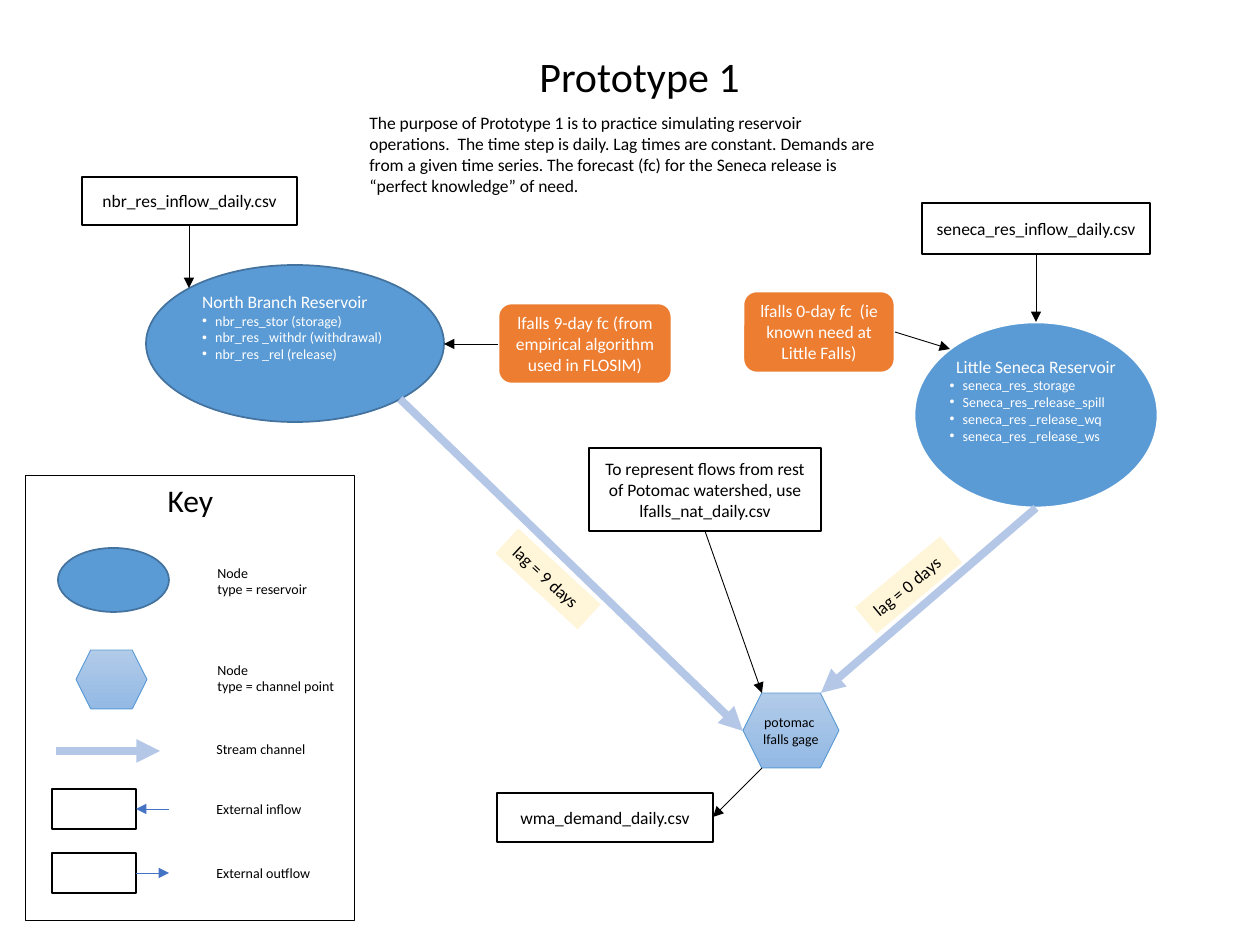
from dataclasses import dataclass

from lxml import etree
from pptx import Presentation
from pptx.dml.color import RGBColor
from pptx.enum.shapes import MSO_CONNECTOR, MSO_SHAPE
from pptx.enum.text import MSO_ANCHOR, PP_ALIGN
from pptx.oxml.ns import qn
from pptx.util import Emu, Pt

PIXEL = 914400 // 126
STRAIGHT = MSO_CONNECTOR.STRAIGHT
RECTANGLE, ROUNDED = MSO_SHAPE.RECTANGLE, MSO_SHAPE.ROUNDED_RECTANGLE
ELLIPSE, HEXAGON = MSO_SHAPE.OVAL, MSO_SHAPE.HEXAGON
TOP, MIDDLE = MSO_ANCHOR.TOP, MSO_ANCHOR.MIDDLE
LEFT, CENTER = PP_ALIGN.LEFT, PP_ALIGN.CENTER


@dataclass(frozen=True)
class Theme:
    """Colours, font and type sizes of the diagram."""
    font: str = "Calibri"
    black: str = "000000"
    white: str = "FFFFFF"
    reservoir: str = "5B9BD5"
    reservoir_edge: str = "43739E"
    channel: str = "B4C7E7"
    key_arrow: str = "4472C4"
    forecast: str = "ED7D31"
    lag: str = "FFD966"
    gage_top: str = "B1CBE9"
    gage_bottom: str = "93B9E4"
    title: int = 24
    heading: int = 18
    body: int = 10
    small: int = 8


THEME = Theme()


def px(value):
    """Turn picture pixels into EMU."""
    return Emu(round(value * PIXEL))


def color(value):
    """Read a hexadecimal colour."""
    return RGBColor.from_string(value)


def write(shape, text, size=THEME.body, ink=THEME.black, align=CENTER,
          anchor=MIDDLE):
    """Put text, one paragraph a line, into a shape."""
    frame = shape.text_frame
    frame.word_wrap = True
    frame.vertical_anchor = anchor
    frame.text = text
    for paragraph in frame.paragraphs:
        paragraph.alignment = align
        for run in paragraph.runs:
            run.font.name = THEME.font
            run.font.size = Pt(size)
            run.font.color.rgb = color(ink)


def set_insets(shape, side, top, bottom):
    """Set the text margins of a shape in pixels."""
    frame = shape.text_frame
    frame.margin_left = frame.margin_right = px(side)
    frame.margin_top, frame.margin_bottom = px(top), px(bottom)


def add_box(slide, kind, box, fill=None, line=None, width=1):
    """Add a preset shape with a plain fill and outline."""
    shape = slide.shapes.add_shape(kind, *map(px, box))
    shape.shadow.inherit = False
    if fill:
        shape.fill.solid()
        shape.fill.fore_color.rgb = color(fill)
    else:
        shape.fill.background()
    if line:
        shape.line.color.rgb = color(line)
        shape.line.width = Pt(width)
    else:
        shape.line.fill.background()
    return shape


def add_label(slide, box, text, size=THEME.body):
    """Add a left-aligned text box."""
    label = slide.shapes.add_textbox(*map(px, box))
    write(label, text, size, align=LEFT, anchor=TOP)


def add_file_box(slide, box, text=""):
    """Add a white box for an external file."""
    shape = add_box(slide, RECTANGLE, box, THEME.white, THEME.black)
    if text:
        write(shape, text)


def add_forecast(slide, box, text):
    """Add an orange forecast box."""
    shape = add_box(slide, ROUNDED, box, THEME.forecast, THEME.white, 1.5)
    write(shape, text, ink=THEME.white)


def add_reservoir(slide, box, name, items, edge, width, align, insets):
    """Add a reservoir ellipse with a name and bulleted variables."""
    shape = add_box(slide, ELLIPSE, box, THEME.reservoir, edge, width)
    write(shape, "\n".join([name, *items]), ink=THEME.white, align=LEFT)
    set_insets(shape, *insets)
    first, *bullets = shape.text_frame.paragraphs
    first.alignment = align
    for paragraph in bullets:
        paragraph.runs[0].font.size = Pt(THEME.small)
        properties = paragraph._p.get_or_add_pPr()
        properties.set("marL", str(px(13)))
        properties.set("indent", str(-px(13)))
        etree.SubElement(properties, qn("a:buFont")).set("typeface", "Arial")
        etree.SubElement(properties, qn("a:buChar")).set("char", "•")


def add_gage(slide, box, text=""):
    """Add a channel point hexagon with a vertical gradient."""
    shape = add_box(slide, HEXAGON, box, line=THEME.reservoir, width=0.5)
    shape.fill.gradient()
    shape.fill.gradient_angle = 270
    for stop, value in zip(shape.fill.gradient_stops,
                           (THEME.gage_top, THEME.gage_bottom)):
        stop.color.rgb = color(value)
    if text:
        write(shape, text, THEME.small)
        set_insets(shape, 0, 0, 0)


def add_lag(slide, box, text, rotation):
    """Add a translucent, turned lag label."""
    shape = add_box(slide, RECTANGLE, box, THEME.lag)
    shade = shape._element.spPr.find(qn("a:solidFill"))[0]
    etree.SubElement(shade, qn("a:alpha")).set("val", "25000")
    write(shape, text, align=LEFT, anchor=TOP)
    shape.rotation = rotation


def add_arrow(slide, ends, ink=THEME.black, width=0.5):
    """Add a straight arrow from the first point to the second."""
    arrow = slide.shapes.add_connector(STRAIGHT, *map(px, ends))
    arrow.line.color.rgb = color(ink)
    arrow.line.width = Pt(width)
    line = arrow.line._get_or_add_ln()
    etree.SubElement(line, qn("a:tailEnd")).set("type", "triangle")
    etree.SubElement(arrow._element.spPr, qn("a:effectLst"))


def add_channel(slide, ends):
    """Add a thick stream channel arrow."""
    add_arrow(slide, ends, THEME.channel, 4.5)


def add_key(slide):
    """Add the key with its samples and captions."""
    add_box(slide, ELLIPSE, (58, 548, 111, 64), THEME.reservoir,
            THEME.reservoir_edge)
    add_gage(slide, (76, 650, 71, 59))
    add_channel(slide, (56, 751, 160, 751))
    frame = add_box(slide, RECTANGLE, (26, 475, 329, 446),
                    line=THEME.black, width=0.5)
    write(frame, "Key", THEME.heading, anchor=TOP)
    for top, start, end in ((789, 169, 136), (853, 136, 169)):
        add_file_box(slide, (52, top, 84, 40))
        add_arrow(slide, (start, top + 20, end, top + 20), THEME.key_arrow)
    for left, top, text in ((205, 558, "Node\ntype = reservoir"),
                            (205, 655, "Node\ntype = channel point"),
                            (204, 734, "Stream channel"),
                            (204, 794, "External inflow"),
                            (204, 858, "External outflow")):
        height = 47 if "\n" in text else 30
        add_label(slide, (left, top, 152, height), text, THEME.small)


def main():
    """Build and save the reservoir diagram."""
    presentation = Presentation()
    presentation.slide_width, presentation.slide_height = px(1260), px(945)
    slide = presentation.slides.add_slide(presentation.slide_layouts[6])

    add_label(slide, (527, 44, 244, 63), "Prototype 1", THEME.title)
    add_label(slide, (357, 106, 538, 97),
              "The purpose of Prototype 1 is to practice simulating reservoir "
              "operations.  The time step is daily. Lag times are constant. "
              "Demands are from a given time series. The forecast (fc) for the "
              "Seneca release is “perfect knowledge” of need.")

    add_reservoir(slide, (146, 265, 298, 157), "North Branch Reservoir",
                  ("nbr_res_stor (storage)", "nbr_res _withdr (withdrawal)",
                   "nbr_res _rel (release)"),
                  THEME.reservoir_edge, 1, LEFT, (12.6, 6.3, 40))
    add_channel(slide, (400, 399, 743, 731))
    add_reservoir(slide, (914, 322, 244, 186), "Little Seneca Reservoir",
                  ("seneca_res_storage", "Seneca_res_release_spill",
                   "seneca_res _release_wq", "seneca_res _release_ws"),
                  THEME.white, 1.5, CENTER, (0, 0, 30))
    add_channel(slide, (1036, 508, 821, 693))

    for box, text in (
            ((922, 203, 228, 51), "seneca_res_inflow_daily.csv"),
            ((82, 177, 215, 48), "nbr_res_inflow_daily.csv"),
            ((497, 793, 216, 49), "wma_demand_daily.csv"),
            ((589, 448, 232, 83), "To represent flows from rest of Potomac "
                                  "watershed, use\nlfalls_nat_daily.csv")):
        add_file_box(slide, box, text)
    add_gage(slide, (743, 693, 96, 75), "potomac \nlfalls gage")
    add_lag(slide, (492, 562, 112, 34), "lag = 9 days", 42.7)
    add_lag(slide, (853, 568, 111, 34), "lag = 0 days", 320.2)
    add_key(slide)
    add_forecast(slide, (498, 303, 174, 81),
                 "lfalls 9-day fc (from empirical algorithm used in FLOSIM)")
    add_forecast(slide, (743, 291, 152, 82),
                 "lfalls 0-day fc  (ie known need at Little Falls)")
    for ends in ((1036, 254, 1036, 322), (189, 225, 189, 288),
                 (705, 531, 762, 693), (762, 768, 713, 817),
                 (498, 344, 444, 344), (895, 332, 950, 349)):
        add_arrow(slide, ends)
    presentation.save("out.pptx")


main()
